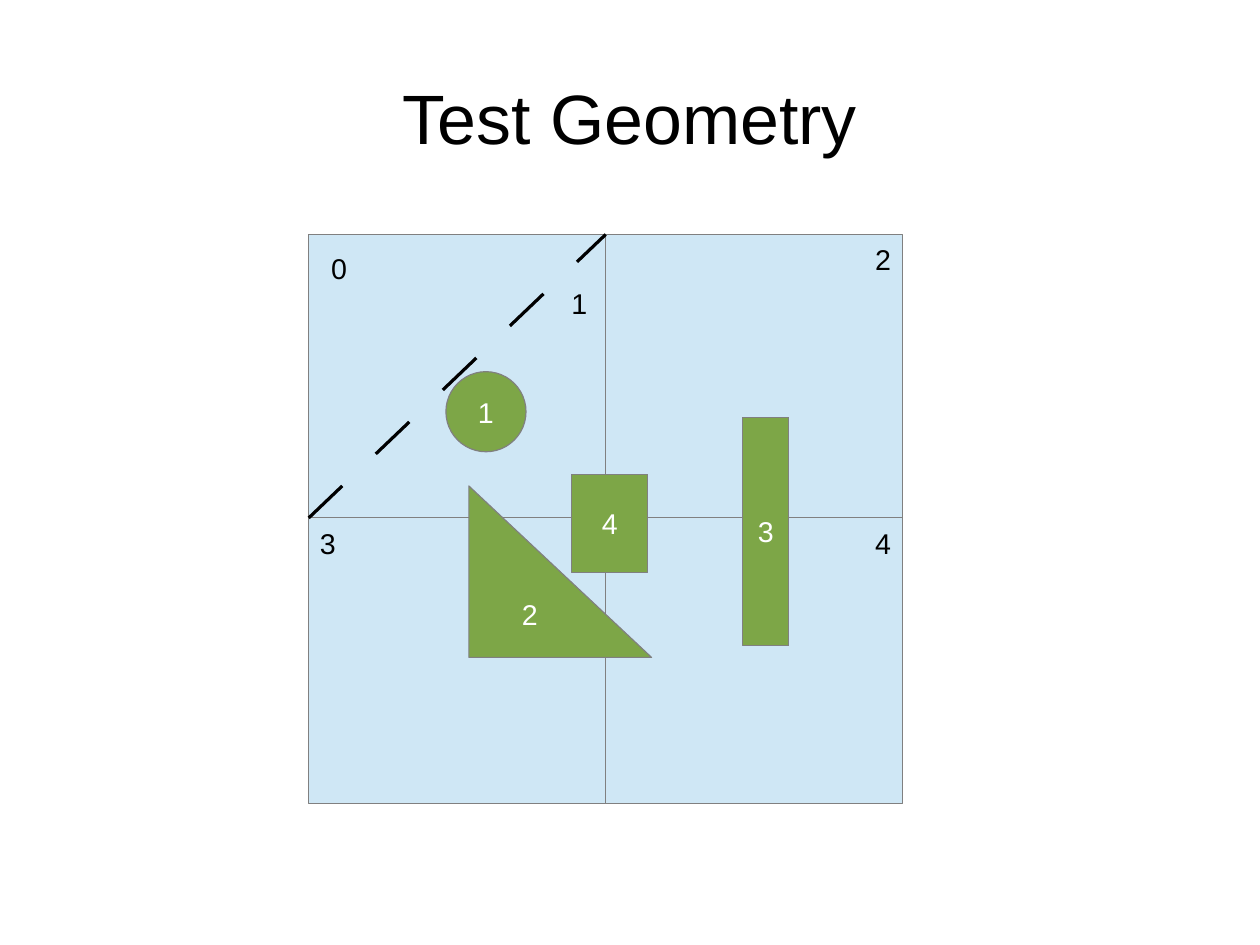
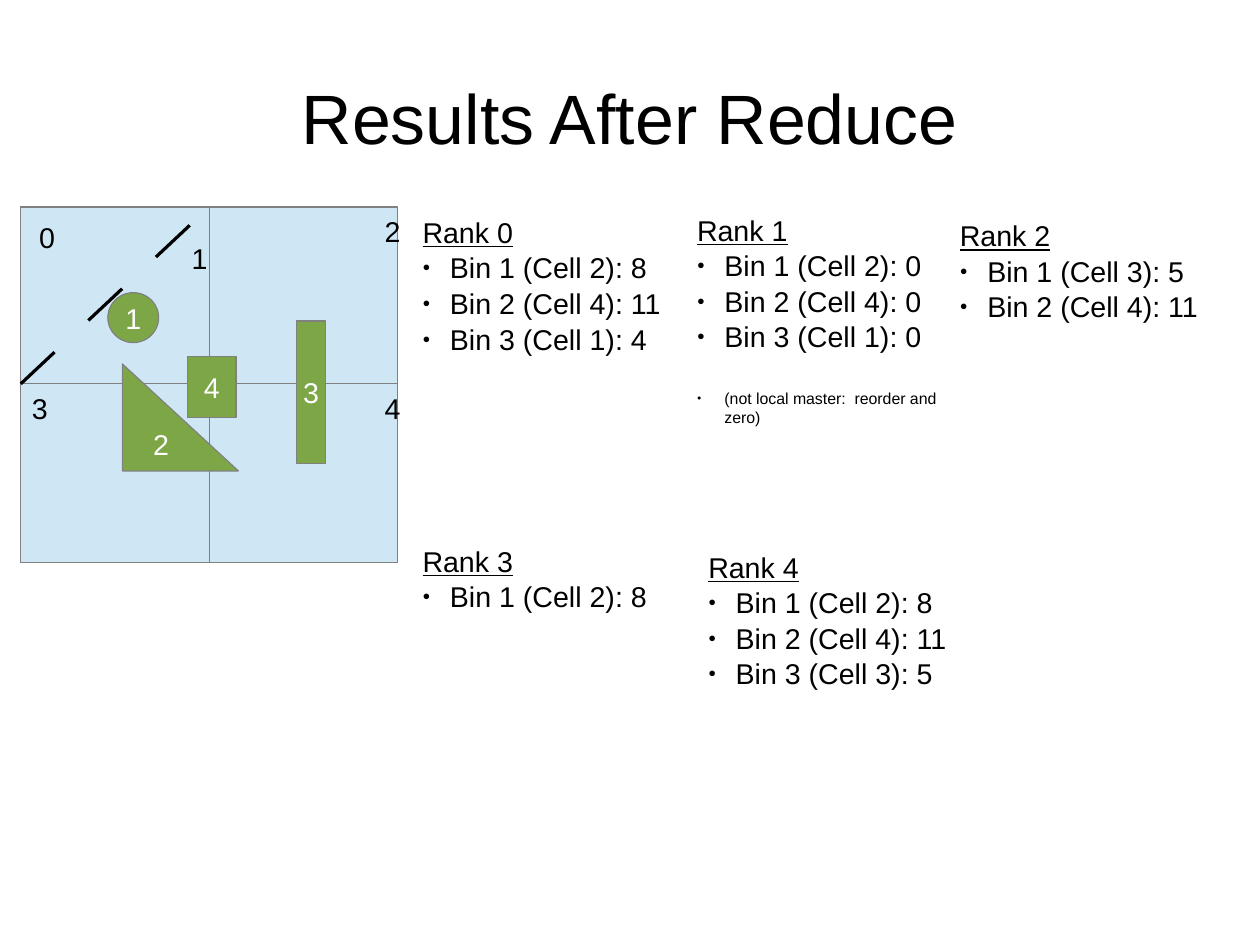
"""Build two slides: a test geometry on a cell grid, and the reduced bin results per rank."""
import pptx
import pptx.dml.color
import pptx.enum.shapes
import pptx.enum.text
import pptx.oxml
import pptx.oxml.ns
import pptx.util
from lxml import etree

Cm = pptx.util.Cm
Pt = pptx.util.Pt
SHAPES = pptx.enum.shapes.MSO_SHAPE
ANCHOR = pptx.enum.text.MSO_ANCHOR
ALIGN = pptx.enum.text.PP_ALIGN
COLORS = {"cell": "CFE7F5", "body": "7DA647", "outline": "808080", "dark": "000000", "light": "FFFFFF"}
FONT = "Arial"
NAMESPACE = pptx.oxml.ns.nsdecls("a")

CELL_WIDTH, CELL_HEIGHT, ROW_PITCH = 6.6, 6.35, 6.3
BODIES = [
    ("1", SHAPES.OVAL, 3.05, 3.05, 1.78, 1.78),
    ("2", SHAPES.RIGHT_TRIANGLE, 3.56, 5.59, 4.06, 3.81),
    ("3", SHAPES.RECTANGLE, 9.65, 4.06, 1.02, 5.08),
    ("4", SHAPES.RECTANGLE, 5.84, 5.33, 1.7, 2.18),
]
CELL_LABELS = [("0", 0.25, 0.25), ("1", 5.59, 1.02), ("2", 12.34, 0.05), ("3", 0, 6.35), ("4", 12.34, 6.35)]
SLIDES = [
    ("Test Geometry", 6.86, 5.21, 1, 1),
    ("Results After Reduce", 0.46, 4.6, 0.635, 0.624),
]
RANKS = [
    ("Rank 0", 9.14, 4.65, ["Bin 1 (Cell 2): 8", "Bin 2 (Cell 4): 11", "Bin 3 (Cell 1): 4"], ""),
    ("Rank 1", 15.24, 4.6, ["Bin 1 (Cell 2): 0", "Bin 2 (Cell 4): 0", "Bin 3 (Cell 1): 0"],
     "(not local master:  reorder and zero)"),
    ("Rank 2", 21.08, 4.72, ["Bin 1 (Cell 3): 5", "Bin 2 (Cell 4): 11"], ""),
    ("Rank 3", 9.14, 11.96, ["Bin 1 (Cell 2): 8"], ""),
    ("Rank 4", 15.49, 12.09, ["Bin 1 (Cell 2): 8", "Bin 2 (Cell 4): 11", "Bin 3 (Cell 3): 5"], ""),
]


def add_run(paragraph, text, color="dark", size=18):
    run = paragraph.add_run()
    run.text = text
    run.font.name = FONT
    run.font.size = Pt(size)
    run.font.color.rgb = pptx.dml.color.RGBColor.from_string(COLORS[color])
    return run


def add_filled_shape(slide, kind, left, top, width, height, fill):
    shape = slide.shapes.add_shape(kind, Cm(left), Cm(top), Cm(width), Cm(height))
    shape.shadow.inherit = False
    shape.fill.solid()
    shape.fill.fore_color.rgb = pptx.dml.color.RGBColor.from_string(COLORS[fill])
    shape.line.color.rgb = pptx.dml.color.RGBColor.from_string(COLORS["outline"])
    shape.line.width = Pt(0)
    return shape


presentation = pptx.Presentation()
presentation.slide_width = Cm(28)
presentation.slide_height = Cm(21)
layout = presentation.slide_layouts[5]
layout_title = layout.placeholders[0]
layout_title.left, layout_title.top = Cm(1.4), Cm(0.84)
layout_title.width, layout_title.height = Cm(25.2), Cm(3.5)

for title, left, top, scale_x, scale_y in SLIDES:
    slide = presentation.slides.add_slide(layout)
    frame = slide.shapes.title.text_frame
    frame.margin_left = frame.margin_right = frame.margin_top = frame.margin_bottom = 0
    frame.vertical_anchor = ANCHOR.MIDDLE
    frame.auto_size = pptx.enum.text.MSO_AUTO_SIZE.NONE
    frame.paragraphs[0].alignment = ALIGN.CENTER
    add_run(frame.paragraphs[0], title, size=44)

    for row in range(2):
        for column in range(2):
            add_filled_shape(
                slide, SHAPES.RECTANGLE,
                left + column * CELL_WIDTH * scale_x, top + row * ROW_PITCH * scale_y,
                CELL_WIDTH * scale_x, CELL_HEIGHT * scale_y, "cell")

    diagonal = slide.shapes.add_connector(
        pptx.enum.shapes.MSO_CONNECTOR.STRAIGHT,
        Cm(left), Cm(top + ROW_PITCH * scale_y), Cm(left + CELL_WIDTH * scale_x), Cm(top))
    diagonal.line.color.rgb = pptx.dml.color.RGBColor.from_string(COLORS["dark"])
    diagonal.line.width = Pt(0)
    diagonal.line._get_or_add_ln().append(pptx.oxml.parse_xml(
        f'<a:custDash {NAMESPACE}><a:ds d="1451000" sp="1451000"/></a:custDash>'))
    etree.SubElement(diagonal._element.spPr, pptx.oxml.ns.qn("a:effectLst"))

    for name, kind, x, y, width, height in BODIES:
        body = add_filled_shape(
            slide, kind, left + x * scale_x, top + y * scale_y,
            width * scale_x, height * scale_y, "body")
        body.text_frame.word_wrap = False
        body.text_frame.vertical_anchor = ANCHOR.MIDDLE
        body.text_frame.paragraphs[0].alignment = ALIGN.CENTER
        add_run(body.text_frame.paragraphs[0], name, "light")

    for name, x, y in CELL_LABELS:
        label = slide.shapes.add_textbox(
            Cm(left + x * scale_x), Cm(top + y * scale_y), Cm(0.86), Cm(0.97))
        label.text_frame.word_wrap = False
        add_run(label.text_frame.paragraphs[0], name)

for rank, left, top, bins, remark in RANKS:
    box = slide.shapes.add_textbox(Cm(left), Cm(top), Cm(5.84), Cm(6.83))
    frame = box.text_frame
    frame.word_wrap = True
    add_run(frame.paragraphs[0], rank).font.underline = True
    items = [(text, 18, 0.8) for text in bins]
    if remark:
        items.append((remark, 10, 22))
    for text, size, space in items:
        paragraph = frame.add_paragraph()
        paragraph.space_before = Pt(space)
        add_run(paragraph, text, size=size)
        properties = paragraph._p.get_or_add_pPr()
        properties.set("marL", str(Cm(0.61)))
        properties.set("indent", str(-Cm(0.61)))
        for bullet in (
            f'<a:buClr {NAMESPACE}><a:srgbClr val="{COLORS["dark"]}"/></a:buClr>',
            f'<a:buSzPct {NAMESPACE} val="45000"/>',
            f'<a:buFont {NAMESPACE} typeface="{FONT}"/>',
            f'<a:buChar {NAMESPACE} char="●"/>',
        ):
            properties.append(pptx.oxml.parse_xml(bullet))

presentation.save("out.pptx")
